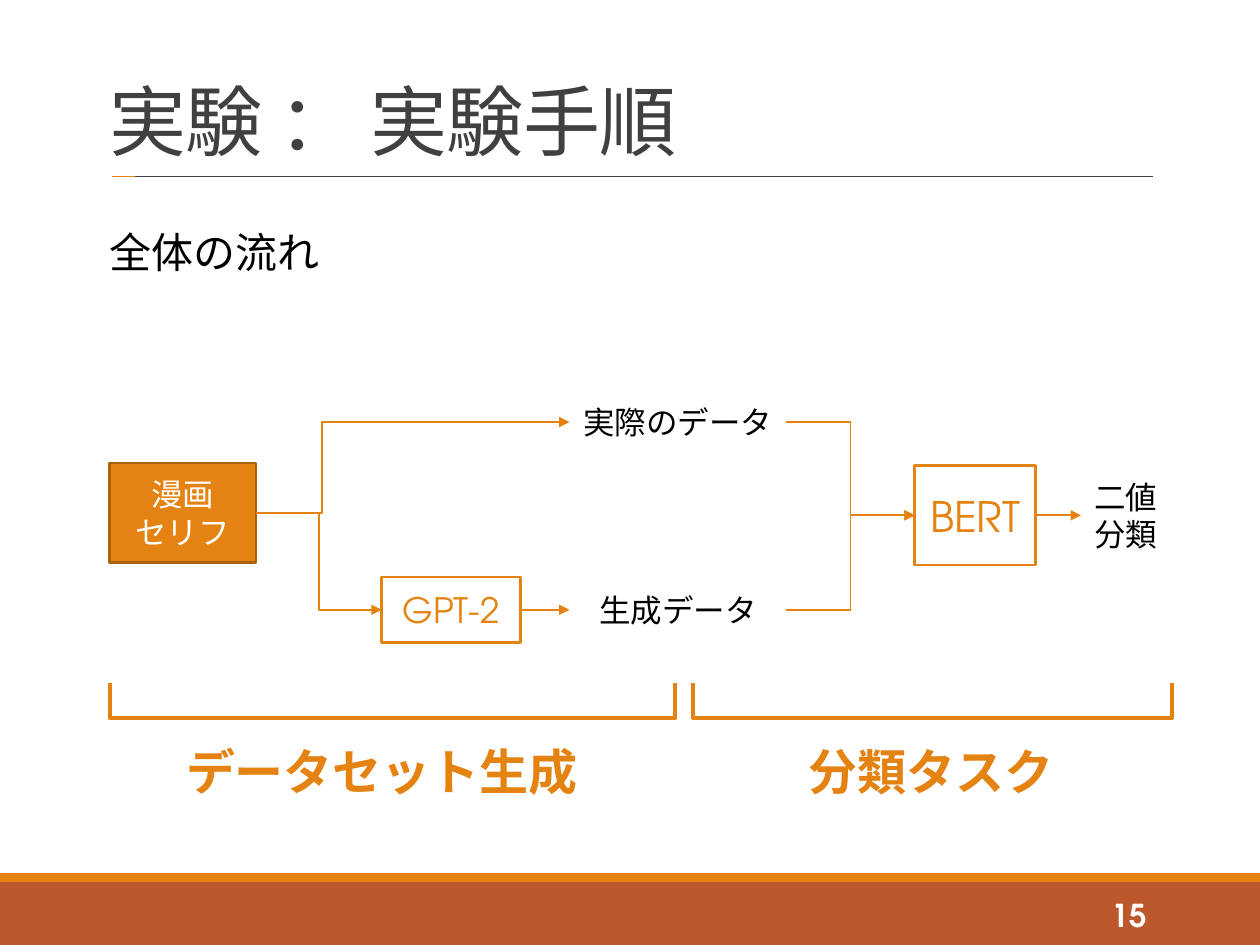
from lxml.etree import SubElement
from pptx import Presentation
from pptx.dml.color import RGBColor
from pptx.enum.shapes import MSO_CONNECTOR as Link, MSO_SHAPE as Shape
from pptx.enum.text import MSO_ANCHOR as Anchor, PP_ALIGN as Align
from pptx.oxml.ns import qn
from pptx.util import Inches, Pt

FONT = "TeX Gyre Adventor"
ORANGE, BROWN, RUST = "E48312", "A9610D", "BD582C"
GREY, BLACK, WHITE = "404040", "000000", "FFFFFF"
WIDE, HIGH = 10, 7.5

# Rows and columns of the flow
TOP, MID, END, LOW = 3.35, 4.07, 4.09, 4.84
DATA_L, DATA_R = 4.52, 6.24
ROW = 0.43

BARS = [(7, 0.5, RUST), (6.93, 0.07, ORANGE)]
RULES = [(1.07, 9.15, GREY), (0.89, 1.07, ORANGE)]

# text, left, middle, width, height, size, fill, line, line width, text colour
BOXES = [
    ("漫画\nセリフ", 0.87, MID, 1.16, 0.79, 18, ORANGE, BROWN, 1.25, WHITE),
    ("GPT-2", 3.03, LOW, 1.1, 0.52, 20, None, ORANGE, 1.5, ORANGE),
    ("BERT", 7.26, END, 0.96, 0.79, 24, None, ORANGE, 1.5, ORANGE),
]

# text, left, middle, width, height, size, colour, bold, align
LABELS = [
    ("15", 8.12, 7.26, 1.08, 0.4, 18, WHITE, True, Align.RIGHT),
    ("全体の流れ", 0.77, 2, 2.76, ROW, 24, BLACK, False, Align.LEFT),
    ("実際のデータ", DATA_L, TOP, DATA_R - DATA_L, ROW, 18, BLACK, False, Align.CENTER),
    ("生成データ", DATA_L, LOW, DATA_R - DATA_L, ROW, 18, BLACK, False, Align.CENTER),
    ("二値分類", 8.58, END, 0.71, 0.55, 18, BLACK, False, Align.CENTER),
    ("データセット生成", 1.17, 6.12, 3.72, ROW, 28, ORANGE, True, Align.CENTER),
    ("分類タスク", 6.01, 6.12, 2.76, ROW, 28, ORANGE, True, Align.CENTER),
]

# start, end, share of the width where the bend falls
ARROWS = [
    ((2.03, MID), (DATA_L, TOP), 0.21),
    ((2.03, MID), (3.03, LOW), 0.5),
    ((4.13, LOW), (DATA_L, LOW), None),
    ((DATA_R, TOP), (7.26, END), 0.5),
    ((DATA_R, LOW), (7.26, END), 0.5),
    ((8.22, END), (8.58, END), None),
]

# left and right end of each stage
STAGES = [(0.87, 5.36), (5.5, 9.3)]
STAGE_Y, STAGE_H = 5.56, 0.28


def rgb(code):
    return RGBColor.from_string(code)


def write(shape, text, size, color, bold=False, align=Align.CENTER, anchor=Anchor.MIDDLE):
    frame = shape.text_frame
    frame.text = text
    frame.word_wrap = True
    frame.vertical_anchor = anchor
    for para in frame.paragraphs:
        para.alignment = align
        for run in para.runs:
            font = run.font
            font.name, font.size, font.bold = FONT, Pt(size), bold
            font.color.rgb = rgb(color)


def add_text(slide, box, *style, **more):
    shape = slide.shapes.add_textbox(*map(Inches, box))
    write(shape, *style, **more)
    return shape


def add_box(slide, kind, box, fill=None, line=None, width=1):
    shape = slide.shapes.add_shape(kind, *map(Inches, box))
    shape.shadow.inherit = False
    if fill:
        shape.fill.solid()
        shape.fill.fore_color.rgb = rgb(fill)
    else:
        shape.fill.background()
    if line:
        shape.line.color.rgb = rgb(line)
        shape.line.width = Pt(width)
    else:
        shape.line.fill.background()
    return shape


def add_line(slide, start, end, color, bend=None, arrow=False):
    kind = Link.ELBOW if bend else Link.STRAIGHT
    link = slide.shapes.add_connector(kind, *map(Inches, start + end))
    link.line.color.rgb = rgb(color)
    link.line.width = Pt(1)
    props = link._element.spPr
    if arrow:
        SubElement(props.find(qn("a:ln")), qn("a:tailEnd"), type="triangle")
    if bend:
        guides = props.find(qn("a:prstGeom")).find(qn("a:avLst"))
        SubElement(guides, qn("a:gd"), name="adj1", fmla=f"val {round(bend * 100000)}")
    SubElement(props, qn("a:effectLst"))


def main():
    deck = Presentation()
    deck.slide_width, deck.slide_height = Inches(WIDE), Inches(HIGH)
    slide = deck.slides.add_slide(deck.slide_layouts[6])

    for top, high, fill in BARS:
        add_box(slide, Shape.RECTANGLE, (0, top, WIDE, high), fill)
    for left, right, color in RULES:
        add_line(slide, (left, 1.4), (right, 1.4), color)

    title = add_text(slide, (0.77, 0.25, 8.38, 1.12), "実験 ： 実験手順", 44, GREY,
                     align=Align.LEFT, anchor=Anchor.BOTTOM)
    para = title.text_frame.paragraphs[0]
    para.line_spacing = 0.85
    para.runs[0].font._element.set("spc", "-50")

    for text, left, mid, wide, high, size, fill, line, width, color in BOXES:
        box = (left, mid - high / 2, wide, high)
        write(add_box(slide, Shape.RECTANGLE, box, fill, line, width), text, size, color)
    for text, left, mid, wide, high, *style in LABELS:
        add_text(slide, (left, mid - high / 2, wide, high), text, *style)
    for start, end, bend in ARROWS:
        add_line(slide, start, end, ORANGE, bend, arrow=True)

    for left, right in STAGES:
        # The bracket is turned, so its height spans the stage
        span = right - left
        box = ((left + right - STAGE_H) / 2, STAGE_Y - span / 2, STAGE_H, span)
        mark = add_box(slide, Shape.RIGHT_BRACKET, box, line=ORANGE, width=2.25)
        mark.adjustments[0] = 0
        mark.rotation = 90

    deck.save("out.pptx")


if __name__ == "__main__":
    main()
